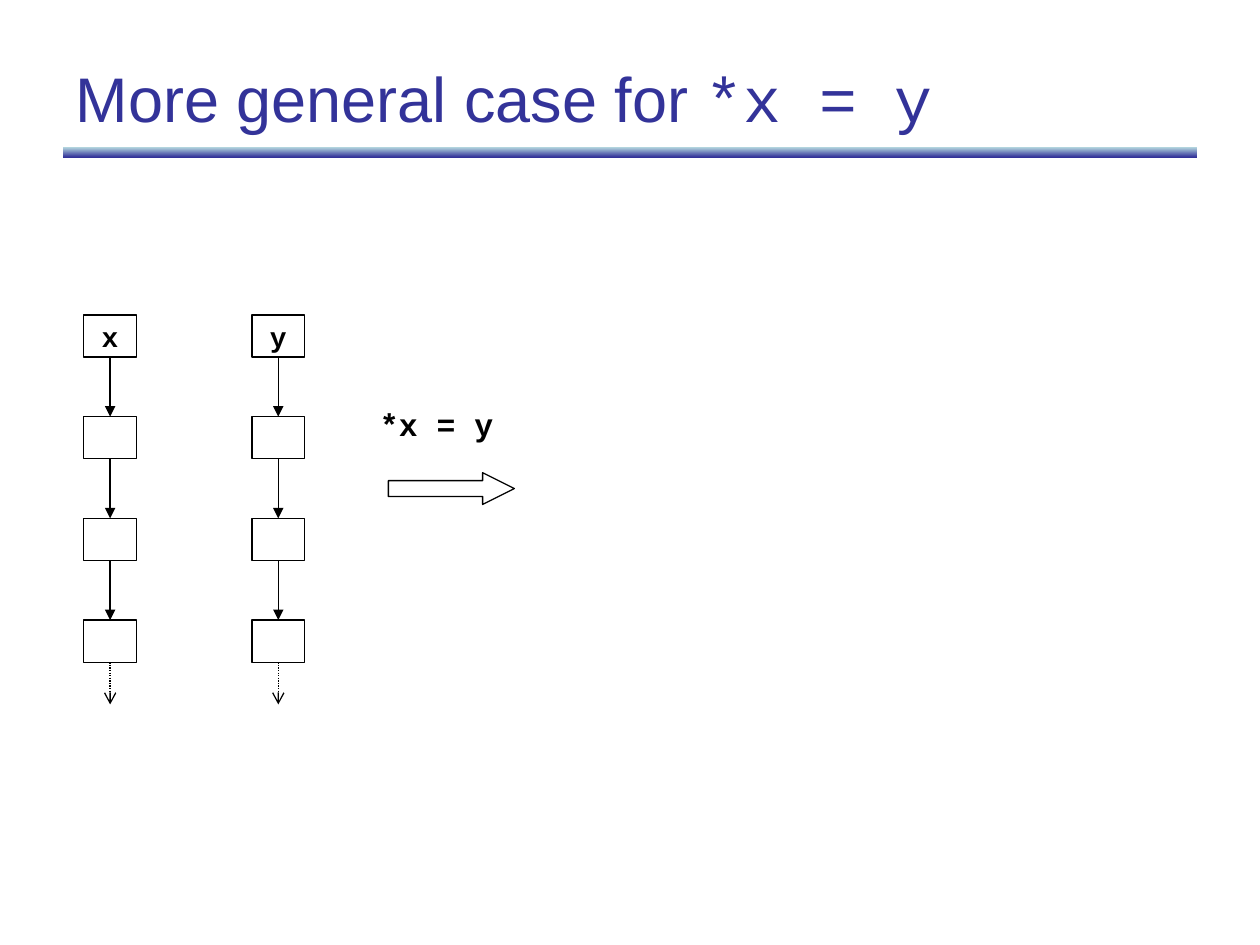
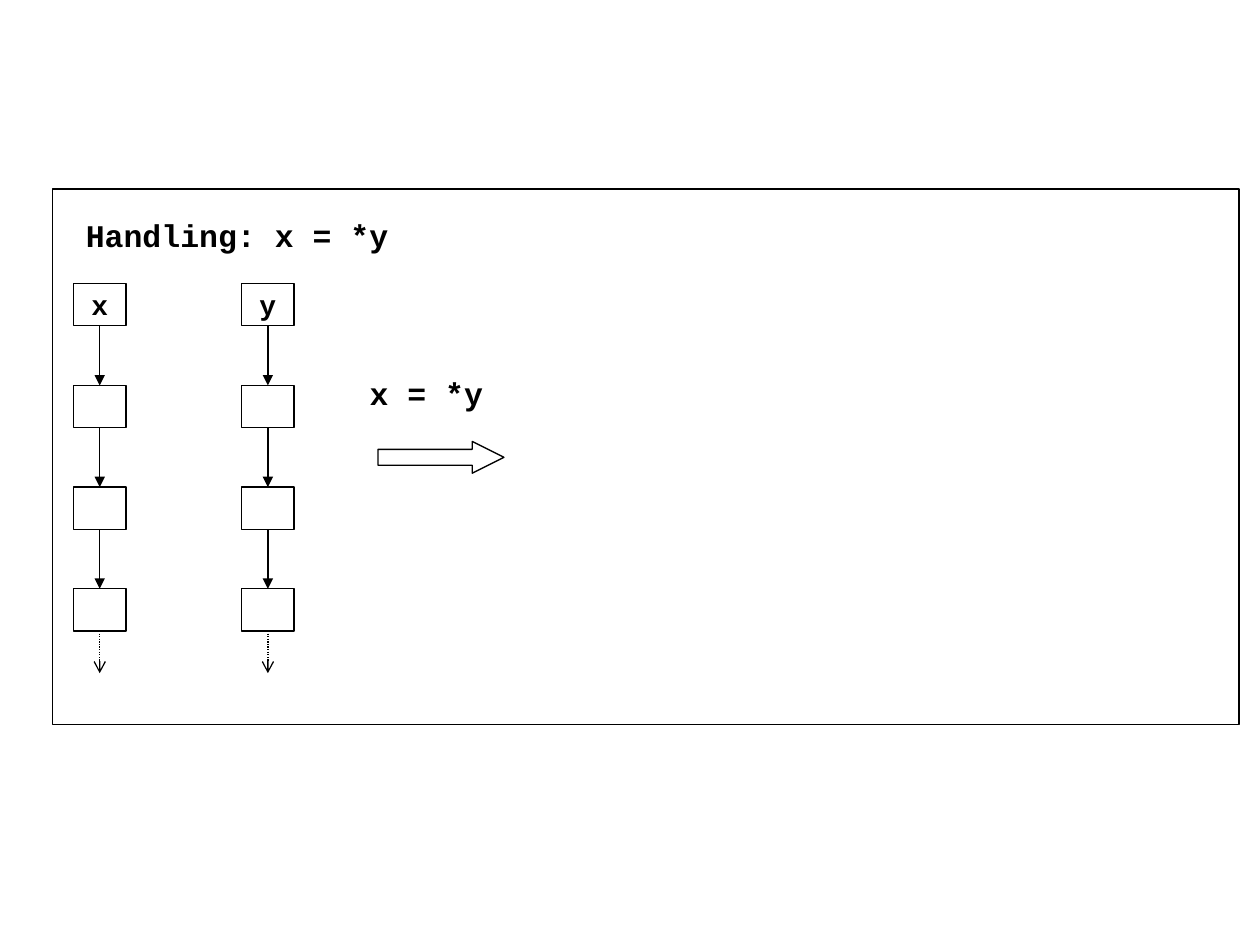
from dataclasses import dataclass

from lxml.etree import SubElement
from pptx import Presentation
from pptx.dml.color import RGBColor
from pptx.enum.dml import MSO_LINE
from pptx.enum.shapes import MSO_CONNECTOR, MSO_SHAPE
from pptx.enum.text import MSO_ANCHOR, MSO_AUTO_SIZE, PP_ALIGN
from pptx.oxml.ns import qn
from pptx.util import Cm, Pt


@dataclass(frozen=True)
class Theme:
    ink: RGBColor = RGBColor(0x00, 0x00, 0x00)
    title: RGBColor = RGBColor(0x33, 0x33, 0x99)
    band_top: RGBColor = RGBColor(0xBB, 0xE0, 0xE3)
    sans: str = "Arial"
    mono: str = "Courier New"
    title_size: Pt = Pt(36)
    label_size: Pt = Pt(18)
    node_size: Pt = Pt(16)
    line_width: Pt = Pt(0.75)


# Pointer chain grid, in centimetres
NODE_WIDTH, NODE_HEIGHT = 1.06, 0.85
NODE_PITCH, CHAIN_PITCH = 2.05, 3.39
NODES_PER_CHAIN = 4
TAIL_LENGTH = 0.85


class Deck:
    """Holds the theme and the slide being filled."""

    def __init__(self, theme):
        self.theme = theme
        self.presentation = Presentation()
        self.presentation.slide_width = Cm(25.4)
        self.presentation.slide_height = Cm(19.05)
        self.slide = None

    def new_slide(self, layout):
        layouts = self.presentation.slide_layouts
        self.slide = self.presentation.slides.add_slide(layouts.get_by_name(layout))

    def run(self, paragraph, text, font, size, color, bold=False):
        run = paragraph.add_run()
        run.text = text
        run.font.name = font
        run.font.size = size
        run.font.bold = bold
        run.font.color.rgb = color

    def title(self, words, code):
        theme = self.theme
        # Gradient band under the title
        band = self.shape(MSO_SHAPE.RECTANGLE, 1.27, 2.96, 22.86, 0.21)
        band.line.fill.background()
        band.fill.gradient()
        band.fill.gradient_angle = 270
        for stop, color in zip(band.fill.gradient_stops, (theme.band_top, theme.title)):
            stop.color.rgb = color
        # Title wording
        heading = self.slide.shapes.title
        heading.left, heading.top = Cm(1.27), Cm(0.76)
        heading.width, heading.height = Cm(22.86), Cm(2.41)
        frame = heading.text_frame
        frame.auto_size = MSO_AUTO_SIZE.NONE
        frame.vertical_anchor = MSO_ANCHOR.MIDDLE
        paragraph = frame.paragraphs[0]
        paragraph.alignment = PP_ALIGN.LEFT
        for text, font in ((words, theme.sans), (code, theme.mono)):
            self.run(paragraph, text, font, theme.title_size, theme.title)

    def shape(self, kind, left, top, width, height):
        """Outlined, unfilled preset shape."""
        shape = self.slide.shapes.add_shape(
            kind, Cm(left), Cm(top), Cm(width), Cm(height))
        shape.shadow.inherit = False
        shape.fill.background()
        shape.line.color.rgb = self.theme.ink
        shape.line.width = self.theme.line_width
        return shape

    def node(self, left, top, name=""):
        node = self.shape(MSO_SHAPE.RECTANGLE, left, top, NODE_WIDTH, NODE_HEIGHT)
        if name:
            frame = node.text_frame
            frame.word_wrap = False
            frame.vertical_anchor = MSO_ANCHOR.MIDDLE
            paragraph = frame.paragraphs[0]
            paragraph.alignment = PP_ALIGN.CENTER
            self.run(paragraph, name, self.theme.mono, self.theme.node_size,
                     self.theme.ink, bold=True)
        return node

    def label(self, text, left, top, width):
        box = self.slide.shapes.add_textbox(Cm(left), Cm(top), Cm(width), Cm(1.02))
        frame = box.text_frame
        frame.word_wrap = False
        frame.auto_size = MSO_AUTO_SIZE.SHAPE_TO_FIT_TEXT
        self.run(frame.paragraphs[0], text, self.theme.mono,
                 self.theme.label_size, self.theme.ink, bold=True)

    def pointer(self, source, target=None):
        """Arrow to the next node, or a dotted tail when there is none."""
        x = source.left + source.width // 2
        y = source.top + source.height
        link = self.slide.shapes.add_connector(
            MSO_CONNECTOR.STRAIGHT, x, y, x, y + Cm(TAIL_LENGTH))
        link.begin_connect(source, 2)
        if target is not None:
            link.end_connect(target, 0)
        link.line.color.rgb = self.theme.ink
        link.line.width = self.theme.line_width
        if target is None:
            link.line.dash_style = MSO_LINE.ROUND_DOT
        properties = link._element.spPr
        SubElement(properties.find(qn("a:ln")), qn("a:tailEnd"),
                   type="arrow" if target is None else "triangle")
        SubElement(properties, qn("a:effectLst"))

    def chain(self, name, left, top):
        nodes = [self.node(left, top + row * NODE_PITCH, "" if row else name)
                 for row in range(NODES_PER_CHAIN)]
        for source, target in zip(nodes, nodes[1:] + [None]):
            self.pointer(source, target)

    def assignment(self, statement, left, top):
        """Chains of x and y with the statement that transforms them."""
        for column, name in enumerate("xy"):
            self.chain(name, left + column * CHAIN_PITCH, top)
        self.label(statement, left + 5.72, top + 1.7, 2.79)
        arrow = self.shape(MSO_SHAPE.RIGHT_ARROW, left + 6.14, top + 3.18, 2.54, 0.64)
        arrow.adjustments[0], arrow.adjustments[1] = 0.5, 1


def main():
    deck = Deck(Theme())

    # Store through a pointer
    deck.new_slide("Title Only")
    deck.title("More general case for ", "*x = y")
    deck.assignment("*x = y", 1.69, 6.35)

    # Load through a pointer
    deck.new_slide("Blank")
    deck.shape(MSO_SHAPE.RECTANGLE, 1.06, 3.81, 23.92, 10.8)
    deck.label("Handling: x = *y", 1.48, 4.23, 6.6)
    deck.assignment("x = *y", 1.48, 5.72)

    deck.presentation.save("out.pptx")


if __name__ == "__main__":
    main()
